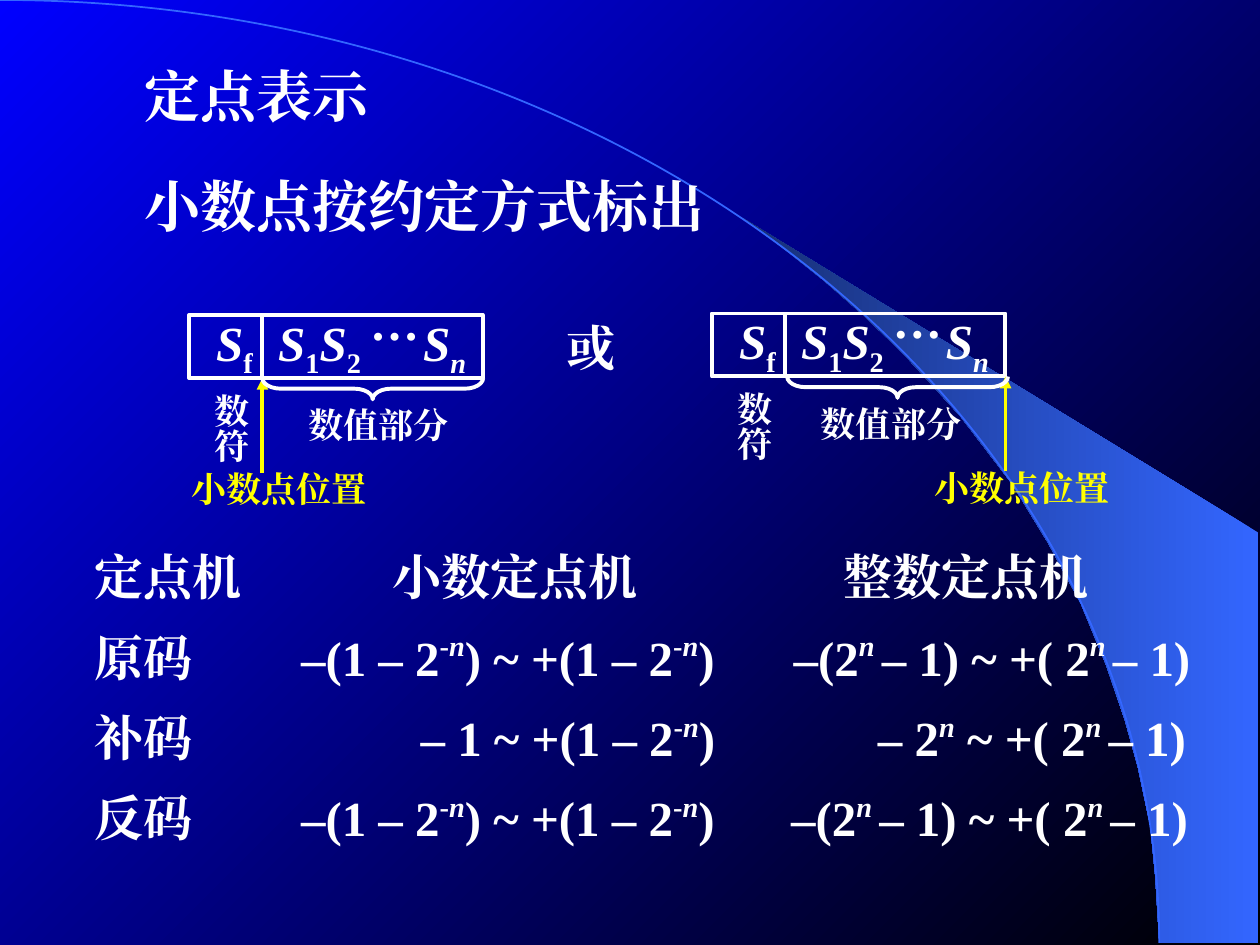
from dataclasses import dataclass
from typing import NamedTuple

import pptx
import pptx.dml.color
import pptx.enum.lang
import pptx.enum.shapes
import pptx.oxml.ns
import pptx.util
from lxml import etree

Cm, Pt = pptx.util.Cm, pptx.util.Pt
RGB = pptx.dml.color.RGBColor
SHAPE = pptx.enum.shapes.MSO_SHAPE
qn = pptx.oxml.ns.qn


@dataclass(frozen=True)
class Theme:
    face: str = "Times New Roman"
    white: RGB = RGB(0xFF, 0xFF, 0xFF)
    yellow: RGB = RGB(0xFF, 0xFF, 0x00)
    black: RGB = RGB(0x00, 0x00, 0x00)
    blue: RGB = RGB(0x00, 0x00, 0xFF)
    beam: RGB = RGB(0x33, 0x66, 0xFF)
    shade: RGB = RGB(0x17, 0x2F, 0x75)
    title: float = 32
    body: float = 28
    note: float = 20
    thin: float = 1
    thick: float = 2.25


THEME = Theme()


class Run(NamedTuple):
    text: str
    slant: bool = False
    base: int = 0  # percent above (+) or below (-) the line


class Box(NamedTuple):
    left: float
    top: float
    width: float
    height: float

    def lengths(self) -> list:
        return [Cm(side) for side in self]


class Word(NamedTuple):
    """A register of the machine word, with offsets from its left edge."""
    left: float
    top: float
    dot: float    # the point's arrow
    value: float  # caption of the value part
    label: float  # caption of the point
    brace: float


class Row(NamedTuple):
    name: str
    part: Box
    frac: list
    whole: list


def blend(fill, first: RGB, last: RGB, angle: float) -> None:
    fill.gradient()
    fill.gradient_angle = angle
    for stop, color in zip(fill.gradient_stops, (first, last)):
        stop.color.rgb = color


def write(shapes, box: Box, runs: list, size: float = THEME.body,
          color: RGB = THEME.white, wrap: bool = True, tabs: tuple = ()):
    text = shapes.add_textbox(*box.lengths())
    frame = text.text_frame
    frame.word_wrap = wrap
    para = frame.paragraphs[0]
    if tabs:
        stops = etree.SubElement(para._p.get_or_add_pPr(), qn("a:tabLst"))
        for place in tabs:
            etree.SubElement(stops, qn("a:tab"), pos=str(Cm(place)), algn="l")
    for part in runs:
        run = para.add_run()
        run.text = part.text
        font = run.font
        font.size, font.bold, font.italic = Pt(size), True, part.slant
        font.color.rgb = color
        font.name = THEME.face
        font.language_id = pptx.enum.lang.MSO_LANGUAGE_ID.SIMPLIFIED_CHINESE
        props = run._r.get_or_add_rPr()
        etree.SubElement(props, qn("a:ea"), typeface=THEME.face)
        if part.base:
            props.set("baseline", str(part.base * 1000))
    return text


def outline(shapes, kind, box: Box, color: RGB = THEME.white,
            width: float = THEME.thick):
    shape = shapes.add_shape(kind, *box.lengths())
    shape.shadow.inherit = False
    shape.fill.background()
    shape.line.color.rgb = color
    shape.line.width = Pt(width)
    return shape


def rule(shapes, x: float, start: float, end: float, color: RGB,
         arrow: bool = False) -> None:
    line = shapes.add_connector(pptx.enum.shapes.MSO_CONNECTOR.STRAIGHT,
                                Cm(x), Cm(start), Cm(x), Cm(end))
    line.line.color.rgb = color
    line.line.width = Pt(THEME.thick)
    if arrow:
        etree.SubElement(line.line._get_or_add_ln(), qn("a:tailEnd"),
                         type="triangle")
    etree.SubElement(line._element.spPr, qn("a:effectLst"))


def register(shapes, word: Word) -> None:
    x, y = word.left, word.top
    wide, high, split = 5.92, 1.27, 1.48
    s = Run("S", True)
    write(shapes, Box(x + 0.3, y - 0.18, 5.84, 1.6),
          [s, Run("f", base=-25), Run("\t"), s, Run("1", base=-25), s,
           Run("2", base=-25), Run("\t"), s, Run("n", True, -25)],
          tabs=(1.25, 4.17))
    write(shapes, Box(x + 3.4, y - 0.6, 1.6, 1.45), [Run("…")])
    outline(shapes, SHAPE.RECTANGLE, Box(x, y, wide, high))
    rule(shapes, x + split, y, y + high, THEME.white)
    rule(shapes, x + word.dot, y + 3.18, y + high, THEME.yellow, True)

    # Captions
    sign = write(shapes, Box(x + 0.05, y + 1.33, 1.35, 1.68), [Run("数符")],
                 THEME.note, wrap=False)
    frame = sign.text_frame
    frame.margin_left = frame.margin_right = Cm(0.13)
    frame.margin_top = frame.margin_bottom = Cm(0.25)
    frame._txBody.bodyPr.set("vert", "eaVert")
    write(shapes, Box(x + word.value, y + 1.66, 3.43, 1.12),
          [Run("数值部分")], THEME.note)
    write(shapes, Box(x + word.label, y + 2.95, 4.14, 1.12),
          [Run("小数点位置")], THEME.note, THEME.yellow)

    # Brace below the value part, turned so that its tip points down
    span, deep = 4.45, 0.43
    brace = outline(shapes, SHAPE.LEFT_BRACE,
                    Box(x + word.brace + (span - deep) / 2,
                        y + high + (deep - span) / 2, deep, span))
    brace.adjustments[0] = 0.86
    brace.rotation = 270


def backdrop(slide) -> None:
    blend(slide.background.fill, THEME.black, THEME.blue, 135)
    edge = [(23.37, 19), (25.37, 19.02), (25.37, 10.74), (14.96, 4.39),
            (15.85, 5.05), (16.59, 5.64), (17.4, 6.35), (18.19, 7.11),
            (19.35, 8.38), (20.4, 9.75), (21.13, 10.95), (21.79, 12.17),
            (22.3, 13.41), (22.68, 14.53), (22.94, 15.47), (23.19, 16.66),
            (23.29, 17.68)]
    dots = [(Cm(x), Cm(y)) for x, y in edge]
    pen = slide.shapes.build_freeform(*dots[0])
    pen.add_line_segments(dots[1:], close=True)
    beam = pen.convert_to_shape()
    beam.shadow.inherit = False
    blend(beam.fill, THEME.beam, THEME.shade, 180)
    beam.line.fill.background()
    outline(slide.shapes, SHAPE.ARC, Box(-23.37, 0, 46.74, 38.02),
            THEME.beam, THEME.thin)


def ranges(shapes) -> None:
    top, step, high = 10.9, 1.62, 1.45
    minus = [Run("-", base=40), Run("n", True, 40)]
    power, gap = Run("n", True, 40), Run("n ", True, 40)
    frac = [Run("–(1 – 2"), *minus, Run(") ~ +(1 – 2"), *minus, Run(")")]
    whole = [Run("–(2"), gap, Run("– 1) ~ +( 2"), gap, Run("– 1)")]
    # Each cell: left, width, runs
    rows = [
        ("定点机", (7.67, 5.54, [Run("小数定点机")]),
         (16.76, 5.54, [Run("整数定点机")])),
        ("原码", (5.82, 8.94, frac), (15.75, 8.61, whole)),
        ("补码", (8.23, 8.69, [Run("– 1 ~ +(1 – 2"), *minus, Run(")")]),
         (17.45, 7.9, [Run("– 2"), power, Run(" ~ +( 2"), gap, Run("– 1)")])),
        ("反码", (5.82, 8.94, frac), (15.7, 9.7, whole)),
    ]
    for i, (name, *cells) in enumerate(rows):
        for left, wide, runs in [(1.65, 3.55, [Run(name)]), *cells]:
            write(shapes, Box(left, top + i * step, wide, high), runs)


def main() -> None:
    deck = pptx.Presentation()
    deck.slide_width, deck.slide_height = Cm(25.4), Cm(19.05)
    slide = deck.slides.add_slide(deck.slide_layouts[6])
    shapes = slide.shapes
    backdrop(slide)

    # Headings
    write(shapes, Box(2.67, 1.12, 5.74, 1.63), [Run("定点表示")], THEME.title)
    write(shapes, Box(2.67, 3.33, 13.23, 1.63), [Run("小数点按约定方式标出")],
          THEME.title)

    # Two placings of the point
    register(shapes, Word(3.81, 6.35, 1.48, 2.16, -0.2, 1.48))
    register(shapes, Word(14.35, 6.32, 5.92, 1.95, 4.24, 1.52))
    write(shapes, Box(11.18, 6.27, 1.6, 1.45), [Run("或")])

    ranges(shapes)
    deck.save("out.pptx")


if __name__ == "__main__":
    main()
